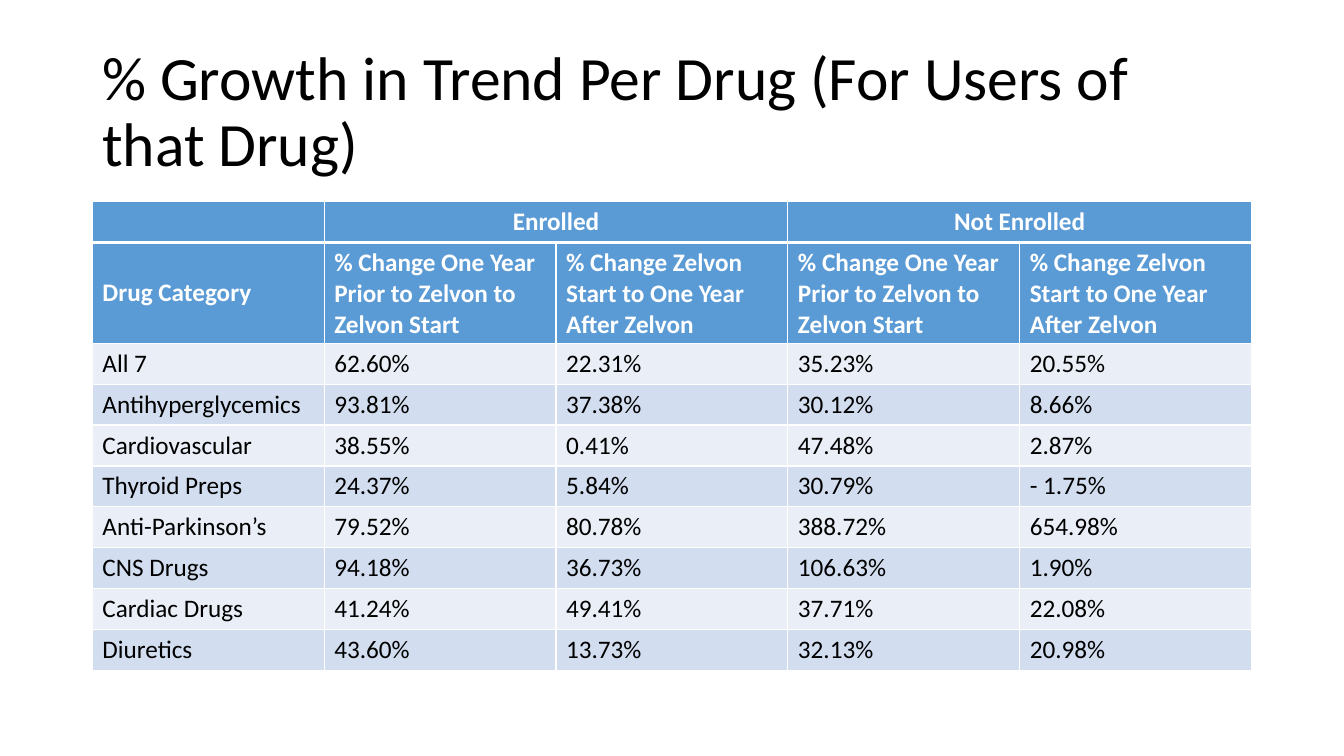
from dataclasses import dataclass

from lxml import etree
from pptx import Presentation
from pptx.dml.color import RGBColor
from pptx.enum.text import MSO_ANCHOR, PP_ALIGN
from pptx.oxml.ns import qn
from pptx.util import Pt

LEFT, CENTER = PP_ALIGN.LEFT, PP_ALIGN.CENTER
TOP, MIDDLE = MSO_ANCHOR.TOP, MSO_ANCHOR.MIDDLE


@dataclass(frozen=True)
class Theme:
    font: str = "Calibri"
    title: int = 44
    body: int = 18
    ink: str = "000000"
    white: str = "FFFFFF"
    head: str = "5B9BD5"
    bands: tuple = ("EAEFF7", "D2DEEF")
    thin: int = 1
    thick: int = 3


PRIOR = "% Change One Year Prior to Zelvon to Zelvon Start"
AFTER = "% Change Zelvon Start to One Year After Zelvon"
HEADS = [
    ["", "Enrolled", "", "Not Enrolled", ""],
    ["Drug Category", PRIOR, AFTER, PRIOR, AFTER],
]
DRUGS = [
    ["All 7", "62.60%", "22.31%", "35.23%", "20.55%"],
    ["Antihyperglycemics", "93.81%", "37.38%", "30.12%", "8.66%"],
    ["Cardiovascular", "38.55%", "0.41%", "47.48%", "2.87%"],
    ["Thyroid Preps", "24.37%", "5.84%", "30.79%", "- 1.75%"],
    ["Anti-Parkinson’s", "79.52%", "80.78%", "388.72%", "654.98%"],
    ["CNS Drugs", "94.18%", "36.73%", "106.63%", "1.90%"],
    ["Cardiac Drugs", "41.24%", "49.41%", "37.71%", "22.08%"],
    ["Diuretics", "43.60%", "13.73%", "32.13%", "20.98%"],
]


def write(frame, text, *, font, size, color, bold=False, align=LEFT, space=1.0):
    para = frame.paragraphs[0]
    para.alignment = align
    para.line_spacing = space
    run = para.add_run()
    run.text = text
    run.font.name = font
    run.font.size = Pt(size)
    run.font.bold = bold
    run.font.color.rgb = RGBColor.from_string(color)


def edge(cell, color, widths):
    """Draw the cell borders; widths run left, right, top, bottom."""
    props = cell._tc.get_or_add_tcPr()
    for spot, (side, width) in enumerate(zip("LRTB", widths)):
        line = etree.Element(qn(f"a:ln{side}"), w=str(Pt(width)))
        fill = etree.SubElement(line, qn("a:solidFill"))
        etree.SubElement(fill, qn("a:srgbClr"), val=color)
        props.insert(spot, line)


class Page:
    def __init__(self, slide, theme):
        self.slide = slide
        self.theme = theme

    def title(self, text, left, top, width, height):
        look = self.theme
        box = self.slide.shapes.add_textbox(Pt(left), Pt(top), Pt(width), Pt(height))
        frame = box.text_frame
        frame.word_wrap = True
        frame.vertical_anchor = MIDDLE
        write(frame, text, font=look.font, size=look.title, color=look.ink, space=0.9)

    def table(self, heads, rows, left, top, width, high):
        """Place a two-row heading, with paired columns merged, over banded rows."""
        data = heads + rows
        count = len(data[0])
        table = self.slide.shapes.add_table(
            len(data), count, Pt(left), Pt(top), Pt(width), Pt(high * len(data))
        ).table
        for col in table.columns:
            col.width = Pt(width / count)
        for row in table.rows:
            row.height = Pt(high)
        for col in range(1, count, 2):
            table.cell(0, col).merge(table.cell(0, col + 1))
        for row, texts in enumerate(data):
            for col, text in enumerate(texts):
                self.cell(table.cell(row, col), text, row, col, len(heads))

    def cell(self, cell, text, row, col, depth):
        look = self.theme
        head = row < depth
        cell.fill.solid()
        fill = look.head if head else look.bands[(row - depth) % 2]
        cell.fill.fore_color.rgb = RGBColor.from_string(fill)
        cell.vertical_anchor = MIDDLE if head and col == 0 else TOP
        above = look.thick if row == 1 else look.thin
        below = look.thick if row == 0 else look.thin
        edge(cell, look.white, (look.thin, look.thin, above, below))
        if text:
            write(
                cell.text_frame, text, font=look.font, size=look.body, bold=head,
                color=look.white if head else look.ink,
                align=CENTER if row == 0 else LEFT,
            )


def main():
    deck = Presentation()
    deck.slide_width, deck.slide_height = Pt(960), Pt(540)
    page = Page(deck.slides.add_slide(deck.slide_layouts[6]), Theme())
    page.title("% Growth in Trend Per Drug (For Users of that Drug)", 66, 28.75, 828, 104.4)
    page.table(HEADS, DRUGS, 66, 144, 828, 29.2)
    deck.save("out.pptx")


if __name__ == "__main__":
    main()
